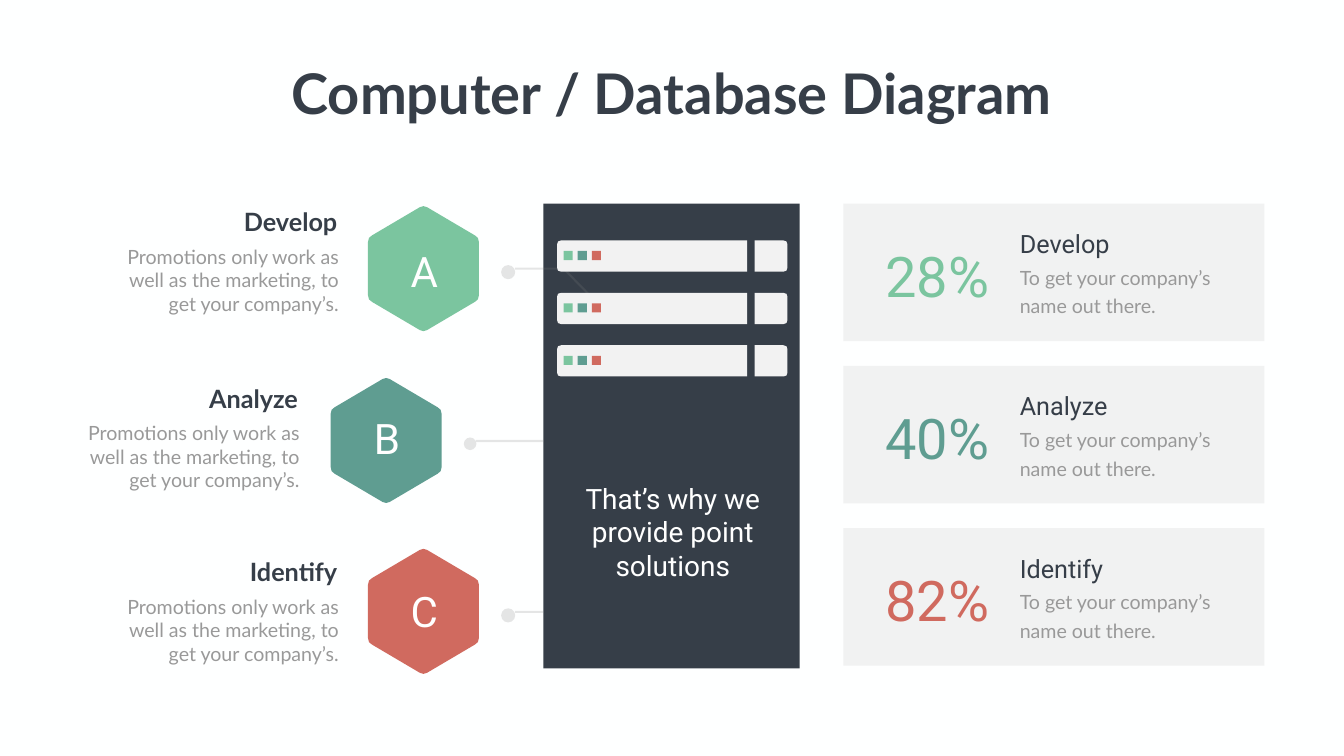
"""Build a one-page server diagram with three steps and three result cards."""
from dataclasses import dataclass

from lxml import etree
from pptx import Presentation
from pptx.dml.color import RGBColor
from pptx.enum import shapes, text
from pptx.oxml import ns
from pptx.util import Inches, Pt


@dataclass(frozen=True)
class Theme:
    paper: str = "FEFFFF"
    ink: str = "363E48"
    muted: str = "999999"
    veil: str = "808080"
    pale: str = "F2F2F2"
    white: str = "FFFFFF"
    accents: tuple = ("7BC59F", "5F9D91", "D06A5F")
    display: int = 80
    letter: int = 60
    quote: int = 40
    heading: int = 36
    body: int = 28


theme = Theme()
left, center, right = text.PP_ALIGN.LEFT, text.PP_ALIGN.CENTER, text.PP_ALIGN.RIGHT
rectangle, oval = shapes.MSO_SHAPE.RECTANGLE, shapes.MSO_SHAPE.OVAL

deck = Presentation()
deck.slide_width, deck.slide_height = Inches(26.66), Inches(15)
page = deck.slides.add_slide(deck.slide_layouts[5])
page.background.fill.solid()
page.background.fill.fore_color.rgb = RGBColor.from_string(theme.paper)


def paint(shape, color, opacity=100):
    shape.shadow.inherit = False
    shape.line.fill.background()
    shape.fill.solid()
    shape.fill.fore_color.rgb = RGBColor.from_string(color)
    if opacity < 100:
        tint = shape.fill._xPr.find(".//" + ns.qn("a:srgbClr"))
        etree.SubElement(tint, ns.qn("a:alpha")).set("val", str(opacity * 1000))


def write(place, words, color, size, face="Lato", align=left, bold=False,
          spacing=None, box=None, wrap=True):
    box = box or page.shapes.add_textbox(0, 0, 0, 0)
    for name, value in zip(("left", "top", "width", "height"), place):
        setattr(box, name, Inches(value))
    frame = {"word_wrap": wrap, "auto_size": text.MSO_AUTO_SIZE.NONE,
             "vertical_anchor": text.MSO_ANCHOR.TOP}
    for name, value in frame.items():
        setattr(box.text_frame, name, value)
    para = box.text_frame.paragraphs[0]
    para.alignment = align
    para.line_spacing = spacing
    span = para.add_run()
    span.text = words
    for name, value in {"name": face, "size": Pt(size), "bold": bold}.items():
        setattr(span.font, name, value)
    span.font.color.rgb = RGBColor.from_string(color)


write((5.6, 1.12, 15.45, 1.45), "Computer / Database Diagram", theme.ink,
      theme.display, align=center, bold=True, box=page.shapes.title, wrap=False)

server = page.shapes.add_shape(
    rectangle, Inches(10.78), Inches(4.04), Inches(5.08), Inches(9.22))
paint(server, theme.ink)

cables = [
    (10.22, 5.33, 11.18, 5.33),
    (11.18, 5.33, 12.09, 6.26),
    (9.44, 8.75, 10.78, 8.75),
    (10.22, 12.14, 10.78, 12.14),
]
for ends in cables:
    cable = page.shapes.add_connector(
        shapes.MSO_CONNECTOR.STRAIGHT, *[Inches(value) for value in ends])
    cable.line.width = Pt(3)
    cable.line.color.rgb = RGBColor.from_string(theme.veil)
    tint = cable.line._ln.find(".//" + ns.qn("a:srgbClr"))
    etree.SubElement(tint, ns.qn("a:alpha")).set("val", "20000")
    etree.SubElement(cable._element.spPr, ns.qn("a:effectLst"))

for x, y, size in [(9.94, 5.26, 0.28), (9.2, 8.68, 0.25), (9.94, 12.07, 0.28)]:
    dot = page.shapes.add_shape(oval, Inches(x), Inches(y), Inches(size), Inches(size))
    paint(dot, theme.veil, 20)

steps = [
    ("A", "Develop", 7.3, 4.09, 4.82, 4.18, 4.04),
    ("B", "Analyze", 6.56, 7.5, 8.13, 3.4, 7.55),
    ("C", "Identify", 7.3, 10.89, 11.57, 4.18, 10.99),
]
bar_tops = [4.77 + 1.04 * row for row in range(3)]
outlines = []

quarter = [(0, 1.24), (0.07, 1.22), (1.02, 0.66), (1.08, 0.61), (1.1, 0.53)]
half = quarter + [(x, -y) for x, y in reversed(quarter)]
hexagon = half + [(-x, -y) for x, y in half]
for step, color in zip(steps, theme.accents):
    middle_x, middle_y = step[2] + 1.1, step[3] + 1.24
    outlines.append(([(middle_x + x, middle_y + y) for x, y in hexagon], color))

for top in bar_tops:
    for outer, inner, inward in [(11.05, 14.82, 1), (15.62, 14.97, -1)]:
        upper = [(inner, 0), (outer + 0.08 * inward, 0),
                 (outer + 0.02 * inward, 0.02), (outer, 0.08)]
        lower = [(x, 0.62 - y) for x, y in reversed(upper)]
        outlines.append(([(x, top + y) for x, y in upper + lower], theme.pale))

for points, color in outlines:
    corners = [(Inches(x), Inches(y)) for x, y in points]
    builder = page.shapes.build_freeform(*corners[0])
    builder.add_line_segments(corners[1:], close=True)
    paint(builder.convert_to_shape(), color)

for top in bar_tops:
    for column, color in enumerate(theme.accents):
        light = page.shapes.add_shape(
            rectangle, Inches(11.18 + 0.28 * column), Inches(top + 0.21),
            Inches(0.18), Inches(0.18))
        paint(light, color)

for letter, heading, hexagon_x, hexagon_y, letter_y, x, y in steps:
    write((hexagon_x + 0.66, letter_y, 0.91, 1.11), letter, theme.white,
          theme.letter, "Roboto", center)
    write((x, y, 2.61, 0.71), heading, theme.ink, theme.heading,
          align=right, bold=True)
    write((x - 1.82, y + 0.76, 4.46, 1.51),
          "Promotions only work as well as the marketing, to get your company’s.",
          theme.muted, theme.body, align=right)

write((11.18, 9.5, 4.33, 1.72), "That’s why we provide point solutions",
      theme.white, theme.quote, "Roboto", center)

for row, (step, share, color) in enumerate(
        zip(steps, ("28%", "40%", "82%"), theme.accents)):
    top = 4.04 + 3.22 * row
    card = page.shapes.add_shape(
        rectangle, Inches(16.73), Inches(top), Inches(8.35), Inches(2.73))
    paint(card, theme.veil, 10)
    write((20.13, top + 1.08, 4.22, 1.38), "To get your company’s name out there.",
          theme.muted, theme.body, spacing=Pt(40.8))
    write((20.13, top + 0.44, 4.22, 0.82), step[1], theme.ink,
          theme.heading, "Roboto")
    write((17.46, top + 0.7, 2.52, 1.29), share, color, theme.display, "Roboto")

deck.save("out.pptx")
